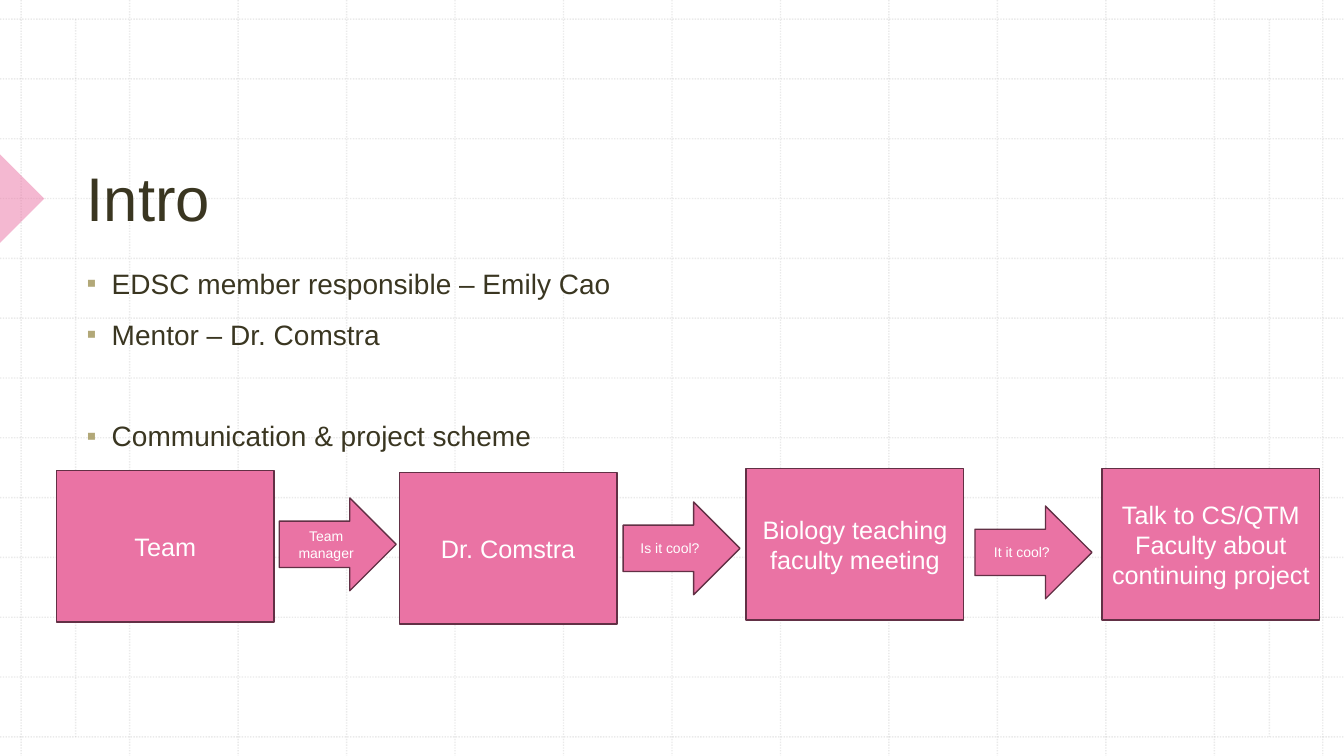
from lxml.etree import SubElement
from pptx import Presentation
from pptx.dml.color import RGBColor
from pptx.enum.dml import MSO_LINE
from pptx.enum.shapes import MSO_CONNECTOR, MSO_SHAPE
from pptx.enum.text import MSO_ANCHOR, MSO_AUTO_SIZE, PP_ALIGN
from pptx.oxml.ns import qn
from pptx.util import Inches, Pt

PINK = RGBColor(0xEA, 0x73, 0xA4)
PLUM = RGBColor(0x62, 0x30, 0x45)
DARK = RGBColor(0x3A, 0x36, 0x21)
SAND = RGBColor(0xB2, 0xA8, 0x78)
GRAY = RGBColor(0xBC, 0xBC, 0xBC)
WHITE = RGBColor(0xFF, 0xFF, 0xFF)
FONT = "Arial"
WIDTH, HEIGHT = 13.33, 7.5


def add_text(paragraph, text, size, color):
    run = paragraph.add_run()
    run.text = text
    run.font.name = FONT
    run.font.size = Pt(size)
    run.font.color.rgb = color


def set_opacity(shape, percent):
    for color in shape._element.spPr.iter(qn("a:srgbClr")):
        SubElement(color, qn("a:alpha"), val=str(percent * 1000))


presentation = Presentation()
presentation.slide_width = Inches(WIDTH)
presentation.slide_height = Inches(HEIGHT)
slide = presentation.slides.add_slide(presentation.slide_layouts[5])
shapes = slide.shapes

# Dotted background grid: 13 lines each way plus two inner margins
LEFT, RIGHT, TOP, BOTTOM = 0.21, 13.12, 0.19, 7.31
grid_lines = [(x, TOP, x, BOTTOM) for x in (0.75, 12.59)]
for i in range(13):
    x = LEFT + i * (RIGHT - LEFT) / 12
    y = TOP + i * (BOTTOM - TOP) / 12
    grid_lines += [(x, 0, x, HEIGHT), (0, y, WIDTH, y)]
for ends in grid_lines:
    connector = shapes.add_connector(MSO_CONNECTOR.STRAIGHT, *[Inches(v) for v in ends])
    connector.line.color.rgb = GRAY
    connector.line.width = Pt(1)
    connector.line.dash_style = MSO_LINE.ROUND_DOT
    set_opacity(connector, 30)
    SubElement(connector._element.spPr, qn("a:effectLst"))

# Triangle marker at the left edge
marker = shapes.add_shape(MSO_SHAPE.RIGHT_TRIANGLE, Inches(-0.31), Inches(1.66),
                          Inches(0.62), Inches(0.62))
marker.rotation = 225
marker.shadow.inherit = False
marker.fill.solid()
marker.fill.fore_color.rgb = PINK
marker.line.fill.background()
set_opacity(marker, 50)

# Title, brought in front of the grid
title = shapes.title
title.left, title.top = Inches(0.76), Inches(0.79)
title.width, title.height = Inches(11.29), Inches(1.58)
title.text_frame.auto_size = MSO_AUTO_SIZE.NONE
title.text_frame.vertical_anchor = MSO_ANCHOR.BOTTOM
paragraph = title.text_frame.paragraphs[0]
paragraph.alignment = PP_ALIGN.LEFT
add_text(paragraph, "Intro", 44, DARK)
shapes._spTree.append(title._element)

# Bullet list: text, space before in points
bullets = [
    ("EDSC member responsible – Emily Cao", 0),
    ("Mentor – Dr. Comstra", 10),
    ("Communication & project scheme", 46),
]
body = shapes.add_textbox(Inches(0.76), Inches(2.56), Inches(11.29), Inches(3.9))
body.text_frame.word_wrap = True
for i, (text, space) in enumerate(bullets):
    paragraph = body.text_frame.add_paragraph() if i else body.text_frame.paragraphs[0]
    paragraph.line_spacing = 1.1
    paragraph.space_before = Pt(space)
    properties = paragraph._p.get_or_add_pPr()
    properties.set("marL", str(Inches(0.25)))
    properties.set("indent", str(Inches(-0.25)))
    bullet_color = SubElement(properties, qn("a:buClr"))
    SubElement(bullet_color, qn("a:srgbClr"), val=str(SAND))
    SubElement(properties, qn("a:buFont"), typeface=FONT)
    SubElement(properties, qn("a:buChar"), char="▪")
    add_text(paragraph, text, 20, DARK)

# Communication flow: kind, text, left, top
BOX, ARROW = MSO_SHAPE.RECTANGLE, MSO_SHAPE.RIGHT_ARROW
styles = {BOX: (2.16, 1.5, 18), ARROW: (1.16, 0.92, 10)}
steps = [
    (BOX, "Team", 0.56, 4.67),
    (ARROW, "Team manager", 2.77, 4.94),
    (BOX, "Dr. Comstra", 3.96, 4.69),
    (ARROW, "Is it cool?", 6.18, 4.98),
    (BOX, "Biology teaching faculty meeting", 7.4, 4.65),
    (ARROW, "It it cool?", 9.67, 5.02),
    (BOX, "Talk to CS/QTM Faculty about continuing project", 10.93, 4.65),
]
for kind, text, left, top in steps:
    width, height, size = styles[kind]
    shape = shapes.add_shape(kind, Inches(left), Inches(top), Inches(width), Inches(height))
    shape.shadow.inherit = False
    shape.fill.solid()
    shape.fill.fore_color.rgb = PINK
    shape.line.color.rgb = PLUM
    shape.line.width = Pt(1)
    shape.text_frame.word_wrap = True
    shape.text_frame.vertical_anchor = MSO_ANCHOR.MIDDLE
    paragraph = shape.text_frame.paragraphs[0]
    paragraph.alignment = PP_ALIGN.CENTER
    add_text(paragraph, text, size, WHITE)

presentation.save("out.pptx")
